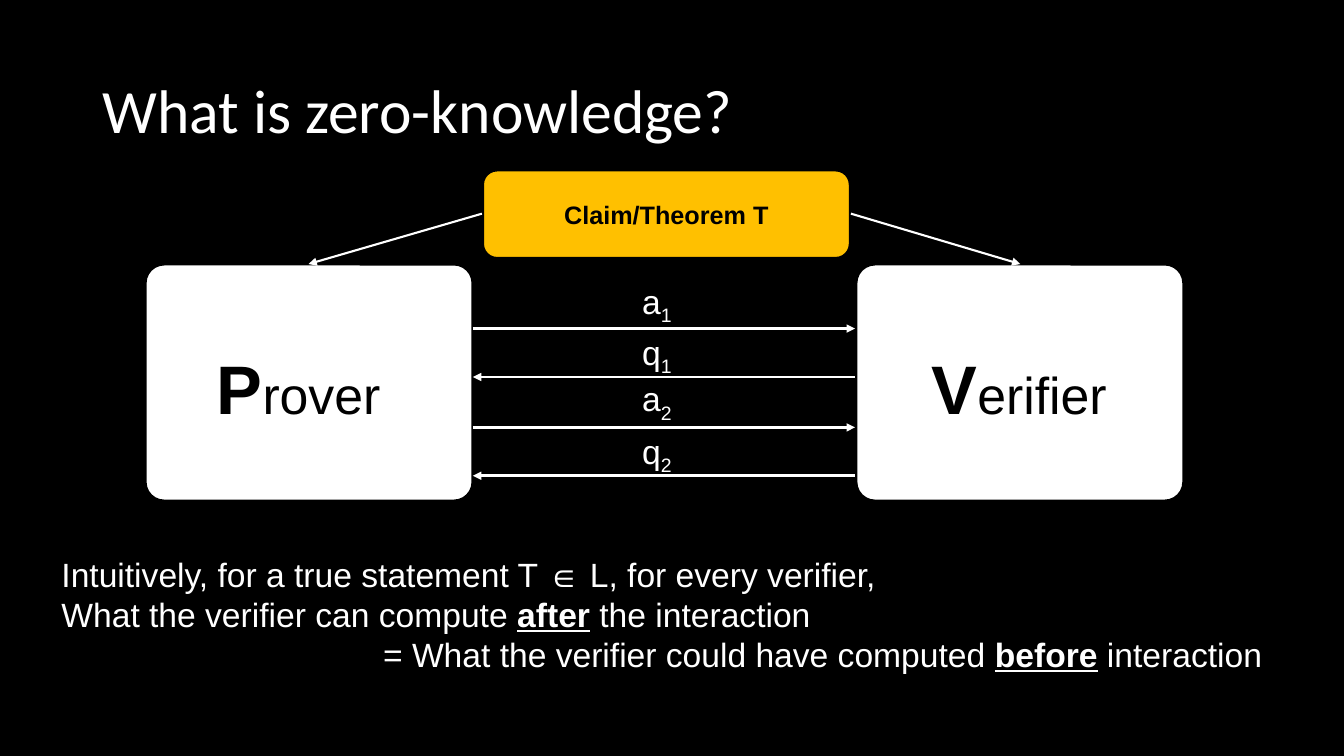
import pptx
import pptx.dml.color
import pptx.enum.shapes
import pptx.enum.text
import pptx.oxml
import pptx.oxml.ns
import pptx.util
from pptx.util import Inches

COLORS = {"black": "000000", "white": "FFFFFF", "claim": "FFC000"}


def rgb(name):
    return pptx.dml.color.RGBColor.from_string(COLORS[name])


def add_run(paragraph, text, size=24, font="Arial", color="white",
            bold=False, underline=False, subscript=False):
    run = paragraph.add_run()
    run.text = text
    run.font.size = pptx.util.Pt(size)
    run.font.name = font
    run.font.color.rgb = rgb(color)
    run.font.bold = bold
    run.font.underline = underline
    if subscript:
        run.font._element.set("baseline", "-25000")


class SlideBuilder:
    """Holds the slide and draws each kind of element in its style."""

    def __init__(self, slide):
        self.slide = slide
        slide.background.fill.solid()
        slide.background.fill.fore_color.rgb = rgb("black")

    def text(self, left, top, width, height, paragraphs, inset=0.06,
             line_spacing=None, indents=()):
        """Each paragraph is a list of (text, format) pairs; indents are in inches."""
        shape = self.slide.shapes.add_textbox(
            Inches(left), Inches(top), Inches(width), Inches(height))
        frame = shape.text_frame
        frame.word_wrap = True
        frame.vertical_anchor = pptx.enum.text.MSO_ANCHOR.MIDDLE
        frame.margin_left = frame.margin_right = Inches(inset)
        frame.margin_top = frame.margin_bottom = Inches(0.06)
        for index, runs in enumerate(paragraphs):
            paragraph = frame.add_paragraph() if index else frame.paragraphs[0]
            paragraph.line_spacing = line_spacing
            if index < len(indents):
                properties = paragraph._p.get_or_add_pPr()
                properties.set("marL", str(Inches(indents[index])))
                properties.set("indent", "0")
            for content, style in runs:
                add_run(paragraph, content, **style)

    def box(self, left, top, width, height, fill, line_width, corner):
        shape = self.slide.shapes.add_shape(
            pptx.enum.shapes.MSO_SHAPE.ROUNDED_RECTANGLE,
            Inches(left), Inches(top), Inches(width), Inches(height))
        shape.shadow.inherit = False
        shape.adjustments[0] = corner
        shape.fill.solid()
        shape.fill.fore_color.rgb = rgb(fill)
        shape.line.color.rgb = rgb("black")
        shape.line.width = pptx.util.Pt(line_width)
        return shape

    def arrow(self, start, end, width):
        connector = self.slide.shapes.add_connector(
            pptx.enum.shapes.MSO_CONNECTOR.STRAIGHT,
            *(Inches(value) for value in start + end))
        connector.line.color.rgb = rgb("white")
        connector.line.width = pptx.util.Pt(width)
        line = connector.line._get_or_add_ln()
        line.append(pptx.oxml.parse_xml(
            f'<a:tailEnd {pptx.oxml.ns.nsdecls("a")} type="triangle"/>'))
        connector._element.spPr.append(pptx.oxml.parse_xml(
            f'<a:effectLst {pptx.oxml.ns.nsdecls("a")}/>'))


def main():
    presentation = pptx.Presentation()
    presentation.slide_width = Inches(13.33)
    presentation.slide_height = Inches(7.5)
    builder = SlideBuilder(presentation.slides.add_slide(presentation.slide_layouts[6]))

    builder.text(0.92, 0.4, 11.5, 1.45,
                 [[("What is zero-knowledge?", {"size": 44, "font": "Calibri"})]],
                 inset=0.1, line_spacing=0.9)

    parties = [(1.44, 2.09, "P", "rover"), (8.49, 9.18, "V", "erifier")]
    for box_left, text_left, initial, rest in parties:
        builder.box(box_left, 2.62, 3.25, 2.35, "white", 2, 0.08)
        builder.text(text_left, 3.38, 1.95, 0.93,
                     [[(initial, {"size": 49, "color": "black", "bold": True}),
                       (rest, {"size": 37, "color": "black"})]])

    claim = builder.box(4.78, 1.68, 3.66, 0.89, "claim", 3, 0.17)
    claim.text_frame.vertical_anchor = pptx.enum.text.MSO_ANCHOR.MIDDLE
    claim_paragraph = claim.text_frame.paragraphs[0]
    claim_paragraph.alignment = pptx.enum.text.PP_ALIGN.CENTER
    add_run(claim_paragraph, "Claim/Theorem T", size=18, color="black", bold=True)
    builder.arrow((4.78, 2.12), (3.06, 2.62), 1.5)
    builder.arrow((8.44, 2.12), (10.12, 2.62), 1.5)

    prover_edge, verifier_edge = 4.69, 8.48
    messages = [("a", "1", 2.75, 3.26), ("q", "1", 3.26, 3.74),
                ("a", "2", 3.72, 4.24), ("q", "2", 4.24, 4.72)]
    for letter, number, label_top, arrow_y in messages:
        ends = [(prover_edge, arrow_y), (verifier_edge, arrow_y)]
        if letter == "q":
            ends.reverse()
        builder.arrow(*ends, 2)
        builder.text(6.31, label_top, 2.57, 0.52,
                     [[(letter, {}), (number, {"subscript": True})]])

    emphasis = {"bold": True, "underline": True}
    builder.text(0.55, 5.43, 12.23, 1.32, [
        [("Intuitively, for a true statement T ∈ L, for every verifier,", {})],
        [("What the verifier can compute ", {}), ("after", emphasis),
         (" the interaction", {})],
        [("= What the verifier could have computed ", {}), ("before", emphasis),
         (" interaction", {})],
    ], indents=(0, 0, 3.19))

    presentation.save("out.pptx")


if __name__ == "__main__":
    main()
